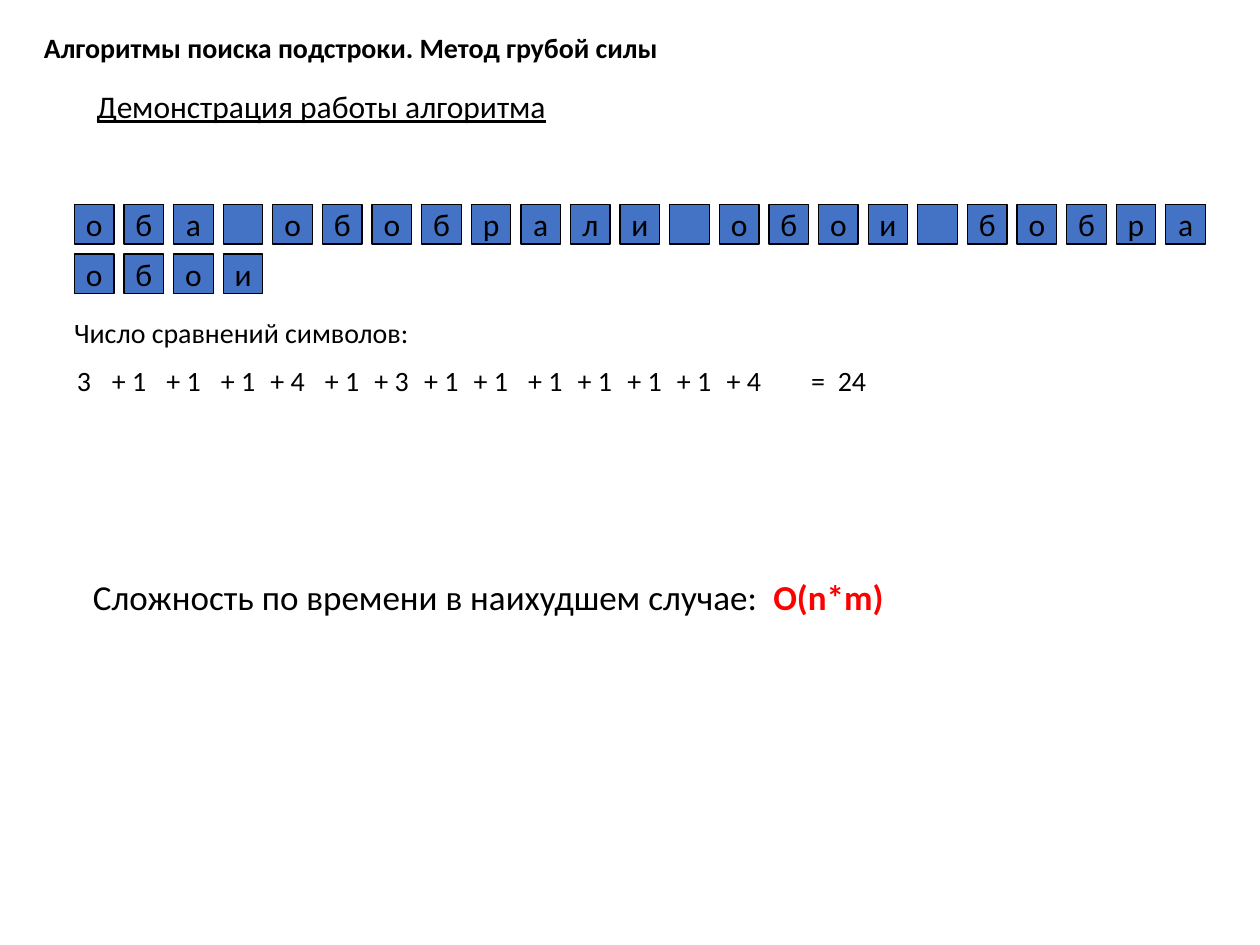
from pptx import Presentation
from pptx import util as u
from pptx.dml.color import RGBColor
from pptx.enum import shapes, text

TITLE = "Алгоритмы поиска подстроки. Метод грубой силы"
SUBTITLE = "Демонстрация работы алгоритма"
HAYSTACK = "оба обобрали обои бобра"
NEEDLE = "обои"
COUNT_LABEL = "Число сравнений символов:"
FIRST_COUNT = "3"
NEXT_COUNTS = [1, 1, 1, 4, 1, 3, 1, 1, 1, 1, 1, 1, 4]
WIDER_GAP_BEFORE = {1, 2, 4, 8}
TOTAL = "24"
COMPLEXITY_LABEL = "Сложность по времени в наихудшем случае: "
COMPLEXITY = "О(n*m)"

THEME = {
    "font": "Calibri",
    "ink": "000000",
    "cell": "4472C4",
    "accent": "FF0000",
    "body": 16,
    "letter": 18,
    "result": 20,
}
STEP = 28.35
CELL = 22.65
CELL_LEFT, CELL_TOP = 42.5, 116.8
SUM_LEFT, SUM_TOP, SUM_HEIGHT = 56.9, 204.5, 26.6
EXTRA_GAP = 2.75


def rgb(name):
    return RGBColor.from_string(THEME[name])


def add_run(p, content, size="body", color="ink", bold=False, underline=False, spacing=0):
    r = p.add_run()
    r.text = content
    r.font.name = THEME["font"]
    r.font.size = u.Pt(THEME[size])
    r.font.color.rgb = rgb(color)
    r.font.bold = bold
    r.font.underline = underline
    if spacing:
        r.font._element.set("spc", str(round(spacing * 100)))


def add_label(parent, content, left, top, width, height=SUM_HEIGHT, wrap=False, **fmt):
    sp = parent.add_textbox(u.Pt(left), u.Pt(top), u.Pt(width), u.Pt(height))
    tf = sp.text_frame
    tf.word_wrap = wrap
    tf.auto_size = text.MSO_AUTO_SIZE.SHAPE_TO_FIT_TEXT
    add_run(tf.paragraphs[0], content, **fmt)
    return tf.paragraphs[0]


def add_cells(parent, letters, row):
    for column, letter in enumerate(letters):
        sp = parent.add_shape(
            shapes.MSO_SHAPE.RECTANGLE,
            u.Pt(CELL_LEFT + column * STEP), u.Pt(CELL_TOP + row * STEP),
            u.Pt(CELL), u.Pt(CELL),
        )
        sp.shadow.inherit = False
        sp.fill.solid()
        sp.fill.fore_color.rgb = rgb("cell")
        sp.line.color.rgb = rgb("ink")
        sp.line.width = u.Pt(0.75)
        tf = sp.text_frame
        tf.word_wrap = False
        tf.vertical_anchor = text.MSO_ANCHOR.MIDDLE
        p = tf.paragraphs[0]
        p.alignment = text.PP_ALIGN.CENTER
        if letter.strip():
            add_run(p, letter, size="letter")


def add_sum(parent):
    add_label(parent, FIRST_COUNT, 36.9, SUM_TOP, 23)
    left = SUM_LEFT
    for i, count in enumerate(NEXT_COUNTS):
        if i:
            left += STEP
        if i in WIDER_GAP_BEFORE:
            left += EXTRA_GAP
        add_label(parent, f"+ {count}", left, SUM_TOP, 37.4)
    p = add_label(parent, "= ", 456.5, SUM_TOP, 50.4, spacing=1.8)
    add_run(p, TOTAL)


def main():
    prs = Presentation()
    prs.slide_width, prs.slide_height = u.Pt(720), u.Pt(540)
    slide = prs.slides.add_slide(prs.slide_layouts[6])
    sps = slide.shapes

    add_cells(sps, HAYSTACK, 0)
    add_cells(sps.add_group_shape().shapes, NEEDLE, 1)
    add_label(sps, COUNT_LABEL, 35.3, 177, 224.6)
    add_sum(sps)
    p = add_label(sps, COMPLEXITY_LABEL, 46, 325.5, 468.7, 31.7, size="result")
    add_run(p, " " + COMPLEXITY, size="result", color="accent", bold=True)
    add_label(sps, SUBTITLE, 48.2, 46.1, 274.3, 28.8, size="letter", underline=True)
    add_label(sps, TITLE, 18, 13.7, 793.4, wrap=True, bold=True)

    prs.save("out.pptx")


if __name__ == "__main__":
    main()
